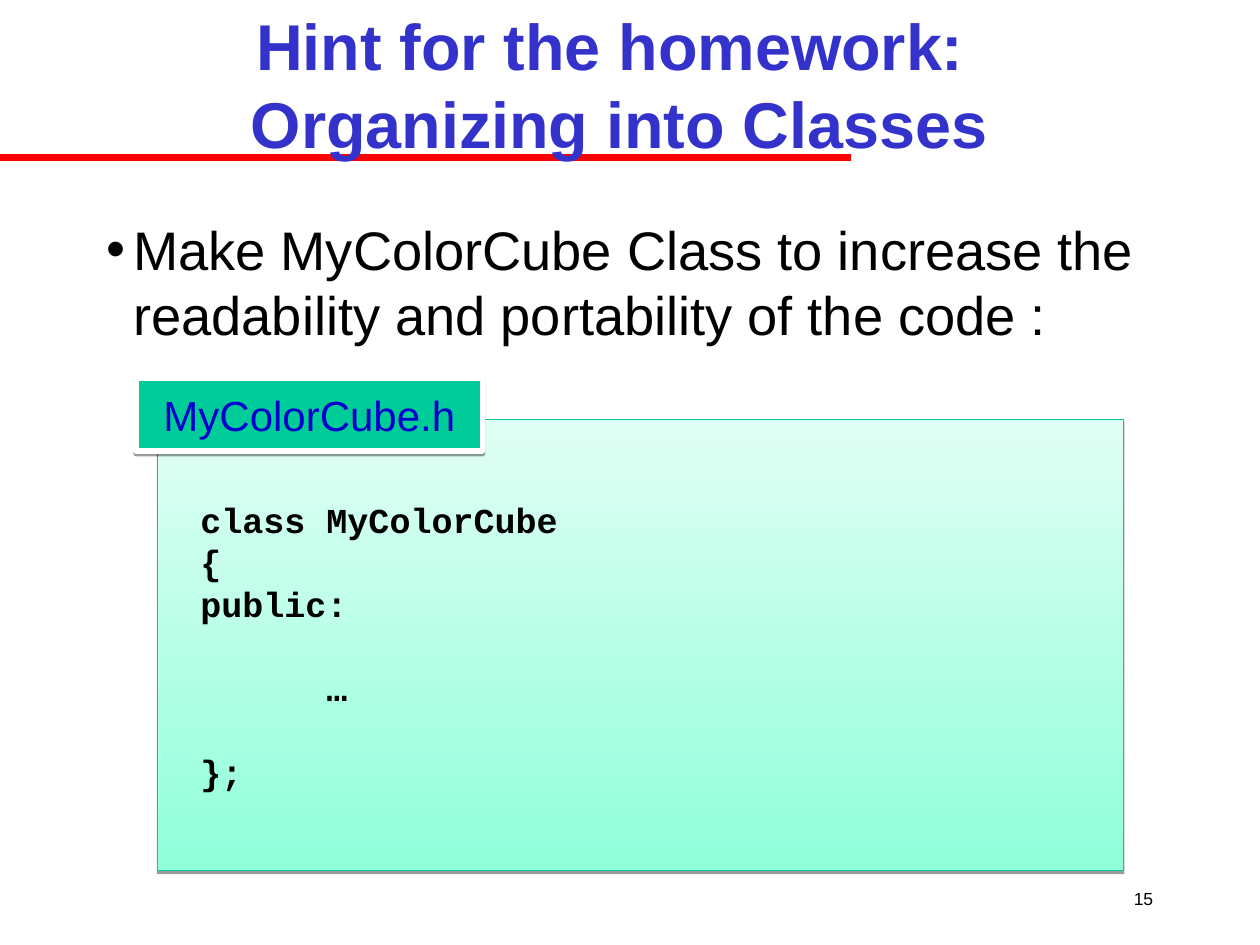
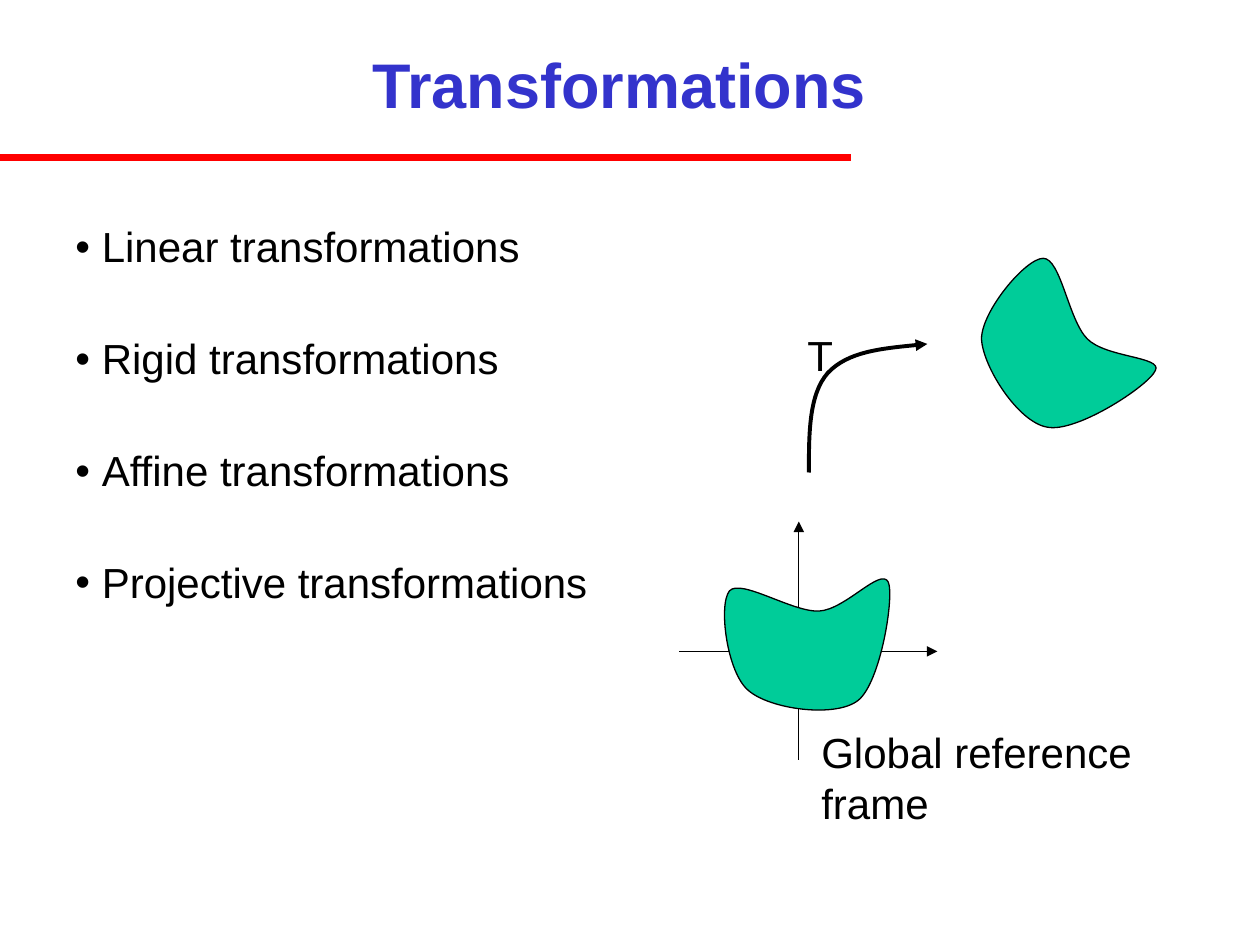
from dataclasses import dataclass

from lxml.etree import SubElement
from pptx import Presentation
from pptx.dml.color import RGBColor
from pptx.enum.shapes import MSO_CONNECTOR as Connector, MSO_SHAPE as Shape
from pptx.enum.text import MSO_ANCHOR as Anchor, PP_ALIGN as Align
from pptx.oxml.ns import qn
from pptx.util import Inches, Pt

BLACK, WHITE = "000000", "FFFFFF"
RULE_RED, TITLE_BLUE, LABEL_BLUE = "FF0000", "3333CC", "0000CC"
GREEN, PANEL_EDGE = "00CC99", "00CC98"
PANEL_BOTTOM, PANEL_TOP = "90FFDA", "E0FFF4"


@dataclass(frozen=True)
class Box:
    left: float
    top: float
    width: float
    height: float

    def emu(self) -> tuple:
        return tuple(map(Inches, (self.left, self.top, self.width, self.height)))


@dataclass(frozen=True)
class Style:
    size: float
    color: str = BLACK
    bold: bool = False
    font: str = "Arial"
    align: Align = Align.LEFT
    anchor: Anchor = Anchor.TOP
    wrap: bool = True


@dataclass(frozen=True)
class Axis:
    start: tuple
    end: tuple


@dataclass(frozen=True)
class Curve:
    points: tuple
    width: float = 0.75
    fill: str | None = GREEN


CODE = Style(20, bold=True, font="Courier New", anchor=Anchor.MIDDLE)
LABEL = Style(24, LABEL_BLUE, align=Align.CENTER, anchor=Anchor.MIDDLE)
PAGE_NUMBER = Style(10, align=Align.RIGHT, anchor=Anchor.MIDDLE)

AXES = (Axis((5.39, 5.17), (7.44, 5.17)), Axis((6.34, 6.03), (6.34, 4.14)))

CURVES = (
    Curve((
        (5.94, 5.48),
        (5.77, 5.34), (5.7, 4.8), (5.79, 4.69),
        (5.88, 4.59), (6.29, 4.86), (6.5, 4.85),
        (6.71, 4.84), (6.99, 4.5), (7.05, 4.62),
        (7.1, 4.73), (6.99, 5.42), (6.81, 5.56),
        (6.63, 5.7), (6.11, 5.63), (5.94, 5.48),
    )),
    Curve((
        (7.79, 2.69),
        (7.79, 2.47), (8.14, 2.05), (8.28, 2.05),
        (8.42, 2.05), (8.48, 2.54), (8.63, 2.69),
        (8.78, 2.84), (9.23, 2.83), (9.17, 2.94),
        (9.12, 3.06), (8.54, 3.44), (8.31, 3.39),
        (8.08, 3.35), (7.8, 2.91), (7.79, 2.69),
    )),
    Curve((
        (6.42, 3.75),
        (6.42, 3.44), (6.42, 3.13), (6.57, 2.96),
        (6.73, 2.79), (7.05, 2.76), (7.36, 2.73),
    ), width=2.25, fill=None),
)


def rgb(color: str) -> RGBColor:
    return RGBColor.from_string(color)


def write(shape, text: str, style: Style) -> None:
    frame = shape.text_frame
    frame.text = text
    frame.word_wrap = style.wrap
    frame.vertical_anchor = style.anchor
    for paragraph in frame.paragraphs:
        paragraph.alignment = style.align
        for run in paragraph.runs:
            run.font.size = Pt(style.size)
            run.font.name = style.font
            run.font.bold = style.bold
            run.font.color.rgb = rgb(style.color)


def add_text(slide, box: Box, text: str, style: Style):
    textbox = slide.shapes.add_textbox(*box.emu())
    write(textbox, text, style)
    return textbox


def add_bullets(slide, box: Box, items: tuple, size: float,
                line_spacing: float = 1.0, gap: float = 0) -> None:
    textbox = add_text(slide, box, "\n".join(items), Style(size))
    for index, paragraph in enumerate(textbox.text_frame.paragraphs):
        paragraph.line_spacing = line_spacing
        paragraph.space_before = Pt(gap if index else 0)
        properties = paragraph._p.get_or_add_pPr()
        properties.set("marL", str(Inches(0.21)))
        properties.set("indent", str(-Inches(0.21)))
        bullet_color = SubElement(properties, qn("a:buClr"))
        SubElement(bullet_color, qn("a:srgbClr"), val=BLACK)
        SubElement(properties, qn("a:buFont"), typeface="Arial")
        SubElement(properties, qn("a:buChar"), char="•")


def set_line(shape, color: str, width: float, arrow: bool = False) -> None:
    shape.line.color.rgb = rgb(color)
    shape.line.width = Pt(width)
    if arrow:
        SubElement(shape.line._get_or_add_ln(), qn("a:tailEnd"), type="triangle")


def add_line(slide, axis: Axis, color: str, width: float, arrow: bool = False) -> None:
    ends = map(Inches, (*axis.start, *axis.end))
    line = slide.shapes.add_connector(Connector.STRAIGHT, *ends)
    set_line(line, color, width, arrow)
    SubElement(line._element.spPr, qn("a:effectLst"))


def add_card(slide, box: Box, text: str, style: Style, edge: str, width: float):
    card = slide.shapes.add_shape(Shape.RECTANGLE, *box.emu())
    set_line(card, edge, width)
    card.shadow.inherit = False
    effects = card._element.spPr.find(qn("a:effectLst"))
    shadow = SubElement(effects, qn("a:outerShdw"), blurRad="0",
                        dist=str(Pt(1.6)), dir="5400000", rotWithShape="0")
    shade = SubElement(shadow, qn("a:srgbClr"), val=BLACK)
    SubElement(shade, qn("a:alpha"), val="38000")
    write(card, text, style)
    return card


def add_curve(slide, curve: Curve) -> None:
    start, *others = [(Inches(x), Inches(y)) for x, y in curve.points]
    builder = slide.shapes.build_freeform(*start)
    builder.add_line_segments(others, close=curve.fill is not None)
    outline = builder.convert_to_shape()
    outline.shadow.inherit = False
    outline_path = outline._element.find(".//" + qn("a:path"))
    segments = outline_path.findall(qn("a:lnTo"))
    for bezier, *rest in zip(segments[::3], segments[1::3], segments[2::3]):
        bezier.tag = qn("a:cubicBezTo")
        for segment in rest:
            bezier.append(segment[0])
            outline_path.remove(segment)
    if curve.fill:
        outline.fill.solid()
        outline.fill.fore_color.rgb = rgb(curve.fill)
    else:
        outline.fill.background()
    set_line(outline, BLACK, curve.width, arrow=curve.fill is None)


def add_titled_slide(deck, title: str, size: float):
    slide = deck.slides.add_slide(deck.slide_layouts[6])
    add_line(slide, Axis((0, 1.25), (6.75, 1.25)), RULE_RED, 4)
    add_text(slide, Box(0, 0.08, 9.83, 1.17), title,
             Style(size, TITLE_BLUE, True, align=Align.CENTER, anchor=Anchor.MIDDLE))
    return slide


def build_homework(deck) -> None:
    slide = add_titled_slide(deck, "Hint for the homework: \vOrganizing into Classes", 37)
    add_bullets(slide, Box(0.75, 1.67, 8.5, 5.17), (
        "Make MyColorCube Class to increase the readability and portability of the code :",
    ), 31)
    add_text(slide, Box(8.83, 6.92, 0.42, 0.42), "15", PAGE_NUMBER)

    code = add_card(slide, Box(1.25, 3.33, 7.67, 3.58),
                    "class MyColorCube\n{\npublic:\n…\n};", CODE, PANEL_EDGE, 0.75)
    code.fill.gradient()
    code.fill.gradient_angle = 90
    for stop, color in zip(code.fill.gradient_stops, (PANEL_BOTTOM, PANEL_TOP)):
        stop.color.rgb = rgb(color)
    code.text_frame.margin_left = Inches(0.34)
    ellipsis, closing = code.text_frame.paragraphs[-2:]
    ellipsis.space_before = closing.space_before = Pt(24)
    ellipsis._p.get_or_add_pPr().set("marL", str(Inches(1)))

    file_label = add_card(slide, Box(1.08, 3, 2.75, 0.58),
                          "MyColorCube.h", LABEL, WHITE, 3)
    file_label.fill.solid()
    file_label.fill.fore_color.rgb = rgb(GREEN)


def build_transformations(deck) -> None:
    slide = add_titled_slide(deck, "Transformations", 36)
    kinds = ("Linear", "Rigid", "Affine", "Projective")
    add_bullets(slide, Box(0.5, 1.75, 9, 5.23),
                tuple(f"{kind} transformations" for kind in kinds),
                24, line_spacing=0.9, gap=38)
    for axis in AXES:
        add_line(slide, axis, BLACK, 0.75, arrow=True)
    for curve in CURVES:
        add_curve(slide, curve)
    add_text(slide, Box(6.31, 2.57, 0.4, 0.5), "T", Style(24, wrap=False))
    add_text(slide, Box(6.42, 5.72, 2.91, 0.9), "Global reference frame", Style(24))


def main() -> None:
    deck = Presentation()
    deck.slide_width, deck.slide_height = Inches(10), Inches(7.5)
    build_homework(deck)
    build_transformations(deck)
    deck.save("out.pptx")


if __name__ == "__main__":
    main()
